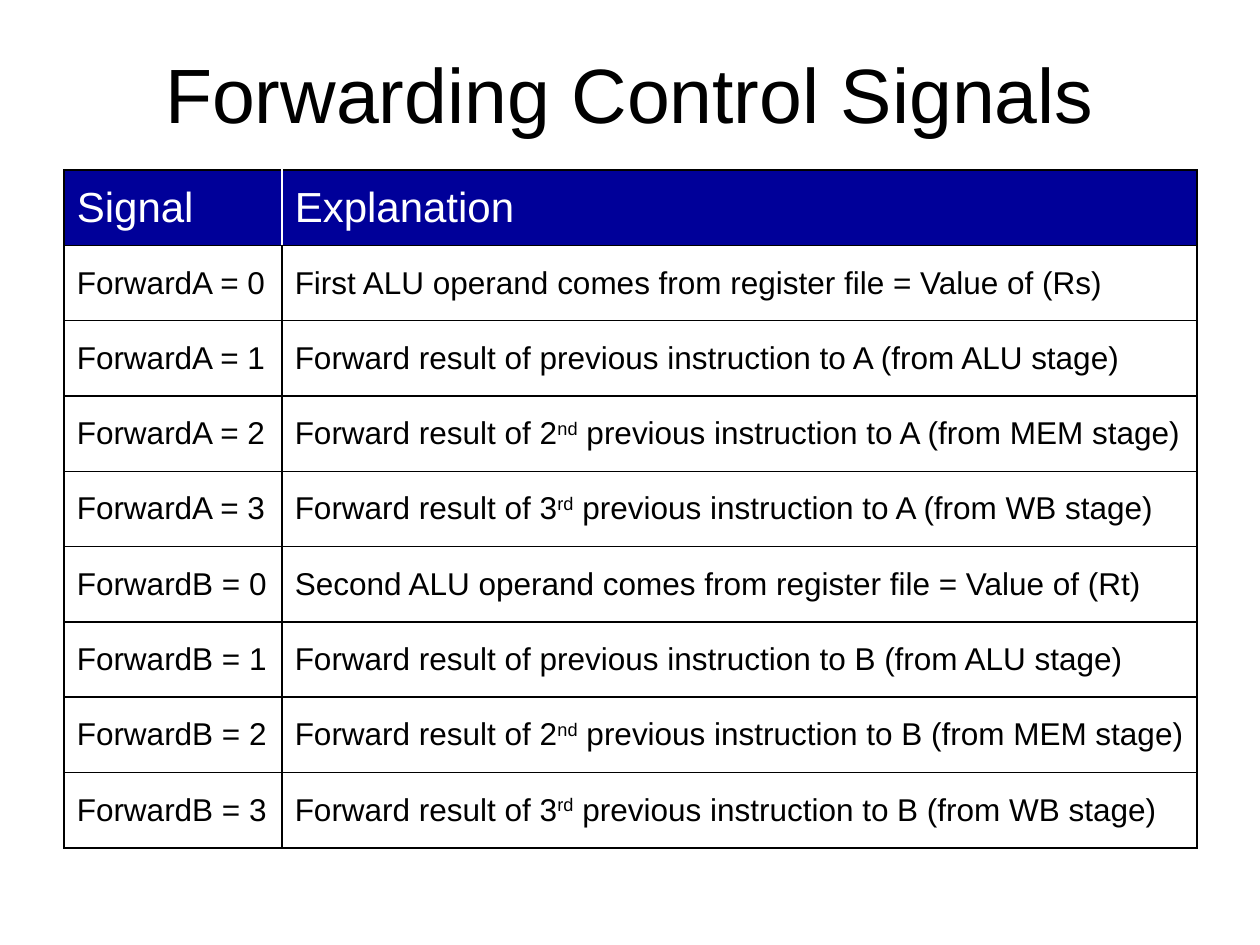
from pptx import Presentation
from pptx.dml.color import RGBColor
from pptx.enum import text
from pptx.oxml import parse_xml
from pptx.oxml.ns import nsdecls
from pptx.util import Inches, Pt

BLACK = RGBColor(0x00, 0x00, 0x00)
WHITE = RGBColor(0xFF, 0xFF, 0xFF)
NAVY = RGBColor(0x00, 0x00, 0x99)


class SlideBuilder:
    font_name = "Arial"
    title_size, header_size, body_size = 44, 24, 18

    def __init__(self, slide):
        self.slide = slide

    def add_runs(self, paragraph, content, size, color):
        """Fill a paragraph; parts between carets are superscript."""
        for index, part in enumerate(content.split("^")):
            run = paragraph.add_run()
            run.text = part
            font = run.font
            font.name, font.size, font.bold = self.font_name, Pt(size), False
            font.color.rgb = color
            if index % 2:
                font._element.set("baseline", "30000")

    def title(self, content, left, top, width, height):
        box = self.slide.shapes.add_textbox(
            Inches(left), Inches(top), Inches(width), Inches(height))
        frame = box.text_frame
        frame.word_wrap = True
        frame.vertical_anchor = text.MSO_ANCHOR.MIDDLE
        heading = frame.paragraphs[0]
        heading.alignment = text.PP_ALIGN.CENTER
        self.add_runs(heading, content, self.title_size, BLACK)

    def border(self, cell, side, color):
        cell._tc.get_or_add_tcPr().append(parse_xml(
            f'<a:ln{side} {nsdecls("a")} w="{Pt(1)}"><a:solidFill>'
            f'<a:srgbClr val="{color}"/></a:solidFill></a:ln{side}>'))

    def cell(self, cell, content, is_header, is_first):
        cell.vertical_anchor = text.MSO_ANCHOR.MIDDLE
        cell.margin_left = Inches(0.1)
        cell.margin_right = cell.margin_top = cell.margin_bottom = Inches(0.05)
        divider_side = "R" if is_first else "L"
        for side in "LRTB":
            is_divider = is_header and side == divider_side
            self.border(cell, side, WHITE if is_divider else BLACK)
        if is_header:
            cell.fill.solid()
            cell.fill.fore_color.rgb = NAVY
        else:
            cell.fill.background()
        self.add_runs(cell.text_frame.paragraphs[0], content,
                      self.header_size if is_header else self.body_size,
                      WHITE if is_header else BLACK)

    def table(self, rows, left, top, widths, height):
        table = self.slide.shapes.add_table(
            len(rows), len(widths), Inches(left), Inches(top),
            Inches(sum(widths)), Inches(height)).table
        table.first_row = table.horz_banding = False
        for column, width in zip(table.columns, widths):
            column.width = Inches(width)
        for r, row in enumerate(rows):
            for c, content in enumerate(row):
                self.cell(table.cell(r, c), content, r == 0, c == 0)


def signal_rows():
    rows = [("Signal", "Explanation")]
    for operand, ordinal, register in (("A", "First", "Rs"), ("B", "Second", "Rt")):
        explanations = [
            f"{ordinal} ALU operand comes from register file = Value of ({register})"]
        for source, stage in (("", "ALU"), ("2^nd^ ", "MEM"), ("3^rd^ ", "WB")):
            explanations.append(f"Forward result of {source}previous instruction "
                                f"to {operand} (from {stage} stage)")
        rows += [(f"Forward{operand} = {value}", explanation)
                 for value, explanation in enumerate(explanations)]
    return rows


def main():
    deck = Presentation()
    deck.slide_width, deck.slide_height = Inches(10), Inches(7.5)
    builder = SlideBuilder(deck.slides.add_slide(deck.slide_layouts[6]))
    builder.title("Forwarding Control Signals", 0.5, 0.3, 9, 0.87)
    builder.table(signal_rows(), 0.51, 1.35, (1.73, 7.26), 5.38)
    deck.save("out.pptx")


if __name__ == "__main__":
    main()
